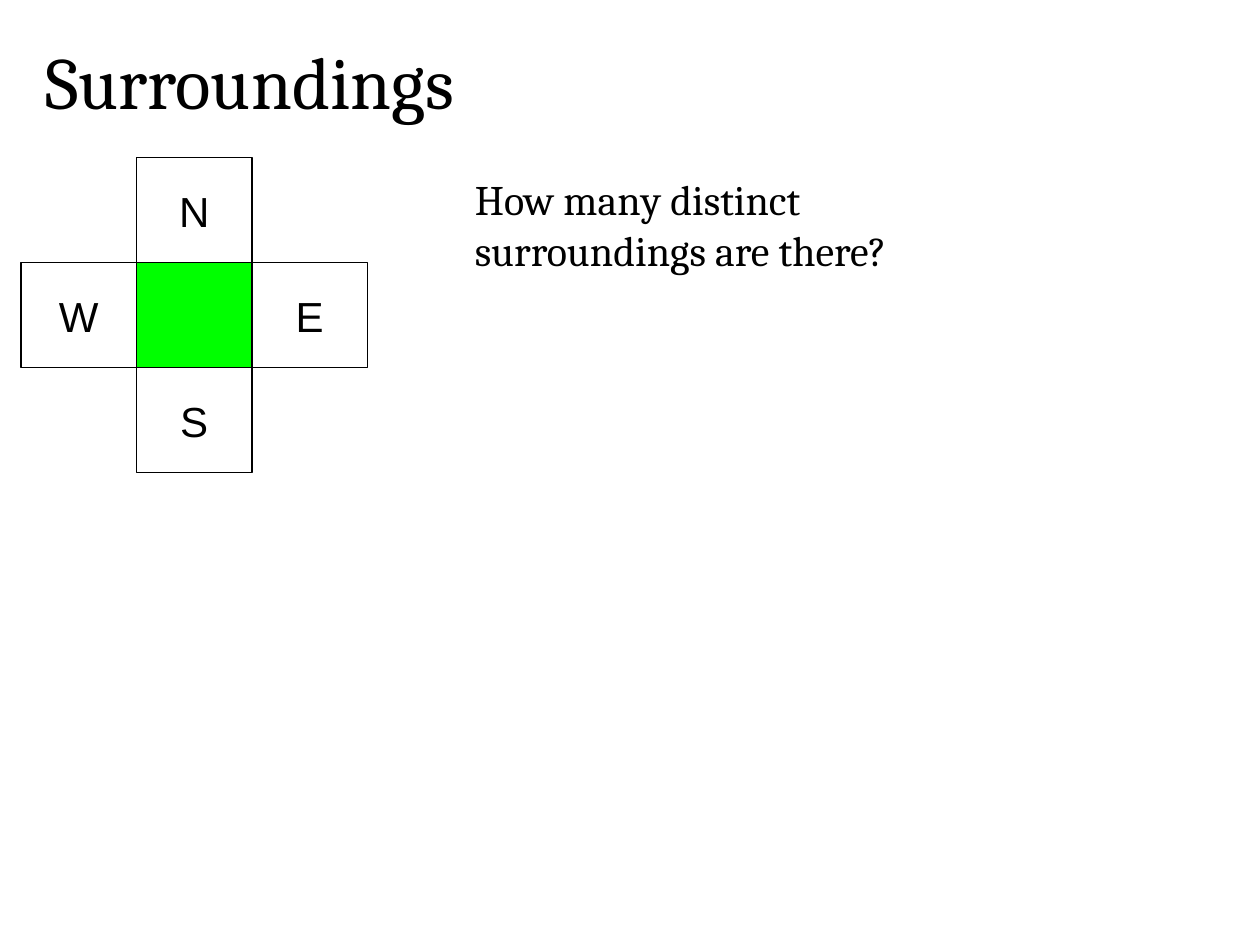
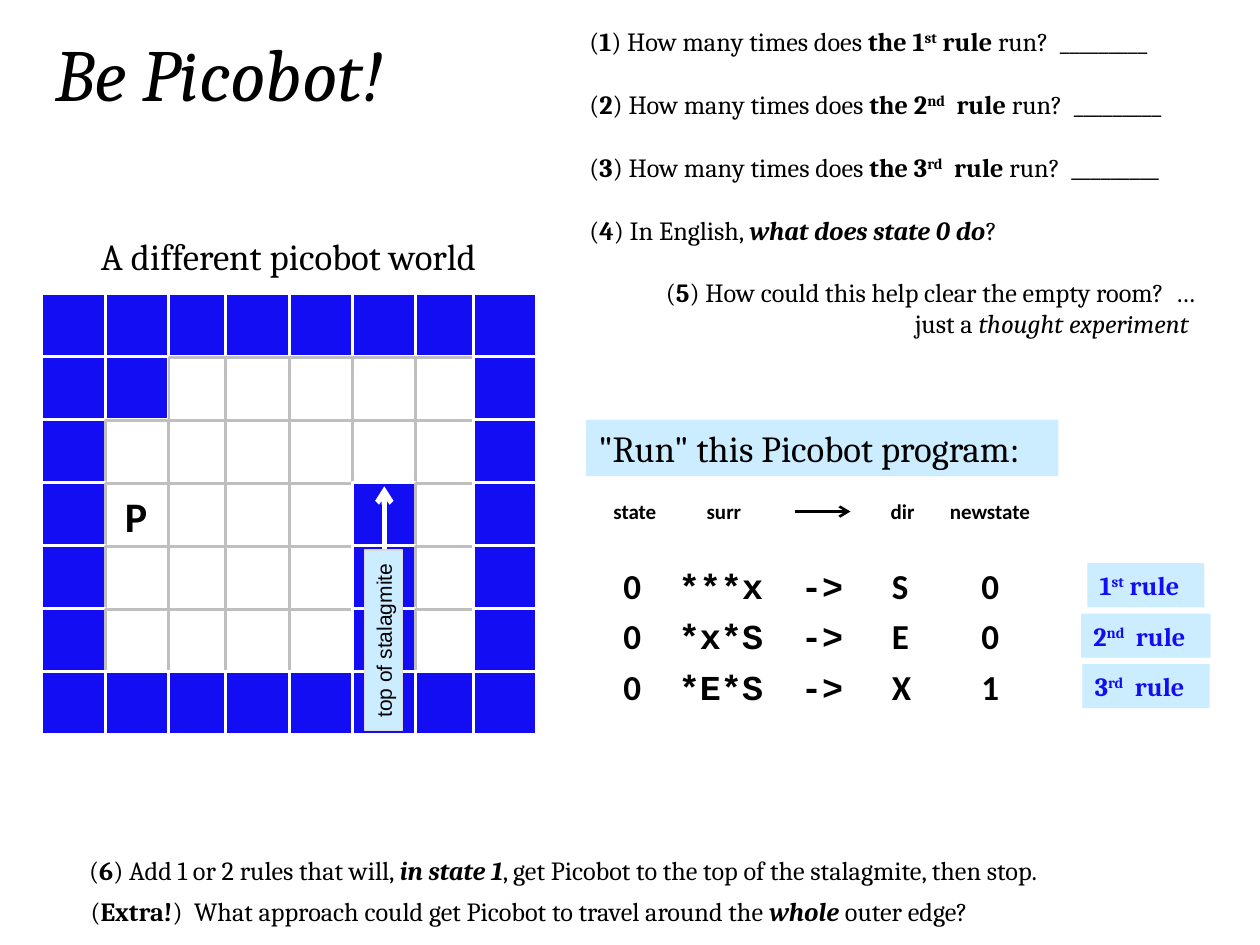
"""Build two slides on Picobot: its surroundings and a hands-on exercise."""
from itertools import accumulate

from lxml import etree
from pptx import Presentation
from pptx.dml.color import RGBColor
from pptx.enum.shapes import MSO_CONNECTOR, MSO_SHAPE
from pptx.enum.text import MSO_AUTO_SIZE, PP_ALIGN
from pptx.oxml.ns import qn
from pptx.util import Inches, Pt

RECT, STRAIGHT = MSO_SHAPE.RECTANGLE, MSO_CONNECTOR.STRAIGHT
FIT = MSO_AUTO_SIZE.SHAPE_TO_FIT_TEXT
LEFT, CENTER, RIGHT = PP_ALIGN.LEFT, PP_ALIGN.CENTER, PP_ALIGN.RIGHT
BLANK_LAYOUT = 6
SLIDE_COLUMNS, SLIDE_ROWS = 10, 7.5
GRID_UNIT = Inches(1)
COLORS = {"ink": "000000", "paper": "FFFFFF", "robot": "00FF00",
          "wall": "120DF3", "pale": "CCECFF", "grid": "BFBFBF", "edge": "D9D9D9"}
STYLES = {
    "title": {"name": "Cambria", "size": Pt(42)},
    "question": {"name": "Cambria", "size": Pt(24)},
    "caption": {"name": "Cambria", "size": Pt(21)},
    "task": {"name": "Cambria", "size": Pt(15)},
    "compass": {"name": "Arial", "size": Pt(24)},
    "note": {"name": "Arial", "size": Pt(12)},
    "header": {"name": "Calibri", "size": Pt(12), "bold": True},
    "code": {"name": "Courier New", "size": Pt(20), "bold": True},
    "value": {"name": "Calibri", "size": Pt(20), "bold": True},
    "robot": {"name": "Calibri", "size": Pt(24), "bold": True},
}
CROSS_LEFT, CROSS_TOP, CROSS_WIDTH, CROSS_HEIGHT = 1 / 6, 1.25, 11 / 12, 10 / 12
COMPASS = [("W", 0, 1), ("N", 1, 0), ("S", 1, 2), ("E", 2, 1)]
WORLD_LEFT, WORLD_TOP, WORLD_PITCH = 0.33, 2.33, 0.5
WORLD_WIDTHS = [0.51, 0.5, 0.45, 0.51, 0.5, 0.5, 0.46, 0.5]
WORLD = ["########",
         "##.....#",
         "#......#",
         "#....#.#",
         "#....#.#",
         "#....#.#",
         "########"]
HEADERS = [("state", 4.77, 0.54), ("surr", 5.51, 0.48),
           ("dir", 6.97, 0.39), ("newstate", 7.44, 0.84)]
RULE_COLUMNS = [(4.85, 0.34, "value"), (5.29, 0.88, "code"), (6.26, 0.54, "code"),
                (6.98, 0.34, "value"), (7.69, 0.34, "value")]
RULES = [("0", "***x", "->", "S", "0"),
         ("0", "*x*S", "->", "E", "0"),
         ("0", "*E*S", "->", "X", "1")]
RULES_TOP, RULES_PITCH = 4.43, 0.4
ORDINALS = [("1", "st", " rule"), ("2", "nd", "  rule"), ("3", "rd", "  rule")]
TAGS = [(8.63, 0.93), (8.58, 1.03), (8.59, 1.01)]
TASK_LEFT, TASK_TOP, TASK_PITCH, TASK_WIDTH, TASK_HEIGHT = 4.58, 0.15, 0.5, 5.1, 0.35


def grid(*lengths):
    """Turn columns and rows of the slide grid into lengths."""
    return [round(length * GRID_UNIT) for length in lengths]


def rgb(name):
    """Look up a named colour."""
    return RGBColor.from_string(COLORS[name])


def outline(shape, color, width):
    """Draw the line of a shape or connector."""
    shape.line.color.rgb = rgb(color)
    shape.line.width = Pt(width)


def fill_with(shape, color):
    """Give a shape a solid fill."""
    shape.fill.solid()
    shape.fill.fore_color.rgb = rgb(color)


def add_cell(page, place, fill, line, width):
    """Add a plain square, unfilled when fill is None."""
    cell = page.shapes.add_shape(RECT, *grid(*place))
    cell.shadow.inherit = False
    outline(cell, line, width)
    if fill:
        fill_with(cell, fill)
    else:
        cell.fill.background()


def add_text(page, place, spans, style, color="ink", align=LEFT, wrap=False, fill=None):
    """Add text from (words, marks) spans; marks are b, i and ^ for superscript."""
    box = page.shapes.add_textbox(*grid(*place))
    frame = box.text_frame
    frame.word_wrap = wrap
    frame.auto_size = FIT
    if fill:
        fill_with(box, fill)
    para = frame.paragraphs[0]
    para.alignment = align
    for words, marks in [(spans, "")] if isinstance(spans, str) else spans:
        span = para.add_run()
        span.text = words
        looks = {"bold": "b" in marks, "italic": "i" in marks, **STYLES[style]}
        for key, value in looks.items():
            setattr(span.font, key, value)
        span.font.color.rgb = rgb(color)
        if "^" in marks:
            span._r.get_or_add_rPr().set("baseline", "30000")
    return box


def add_arrow(page, start, end, color, width):
    """Add a straight line with an open arrowhead at its end."""
    arrow = page.shapes.add_connector(STRAIGHT, *grid(*start, *end))
    outline(arrow, color, width)
    etree.SubElement(arrow.line._get_or_add_ln(), qn("a:tailEnd"), type="arrow")
    etree.SubElement(arrow._element.spPr, qn("a:effectLst"))


def add_task(page, place, number, *spans, align=LEFT):
    """Add a task that opens with its bold number in brackets."""
    add_text(page, place, [("(", ""), (number, "b"), *spans], "task", align=align, wrap=True)


def add_cross(page):
    """Draw the robot's square and its four neighbours."""
    def cell_place(column, row):
        return (CROSS_LEFT + column * CROSS_WIDTH, CROSS_TOP + row * CROSS_HEIGHT,
                CROSS_WIDTH, CROSS_HEIGHT)

    add_cell(page, cell_place(1, 1), "robot", "ink", 0.75)
    for letter, column, row in COMPASS:
        left, top, width, height = place = cell_place(column, row)
        add_cell(page, place, None, "ink", 0.75)
        add_text(page, (left, top + 0.17, width, 0.5), letter, "compass", align=CENTER)


def add_world(page):
    """Draw the room map with its robot and stalagmite."""
    lefts = list(accumulate(WORLD_WIDTHS, initial=WORLD_LEFT))
    for row, squares in enumerate(WORLD):
        top = WORLD_TOP + row * WORLD_PITCH
        for left, width, square in zip(lefts, WORLD_WIDTHS, squares):
            if square == "#":
                add_cell(page, (left, top, width, WORLD_PITCH), "wall", "paper", 1.5)
            else:
                add_cell(page, (left, top + 0.01, width, WORLD_PITCH), "paper", "grid", 1.5)
    add_text(page, (0.87, 3.84, 0.42, 0.5), "P", "robot", align=CENTER, wrap=True)
    label = add_text(page, (2.33, 4.93, 1.43, 0.3), "top of stalagmite", "note", fill="pale")
    label.rotation = 270
    outline(label, "edge", 0.75)
    add_arrow(page, (3.05, 4.36), (3.05, 3.86), "paper", 3)
    add_text(page, (0.61, 1.81, 3.36, 0.45), "A different picobot world", "caption", align=CENTER)


def add_program(page):
    """Set out the program's rules in columns, each with its tag."""
    add_text(page, (4.65, 3.33, 3.75, 0.45), '"Run" this Picobot program:',
             "caption", wrap=True, fill="pale")
    for word, left, width in HEADERS:
        add_text(page, (left, 3.91, width, 0.3), word, "header")
    add_arrow(page, (6.31, 4.06), (6.75, 4.06), "ink", 1.5)
    for row, (rule, ordinal, tag) in enumerate(zip(RULES, ORDINALS, TAGS)):
        top = RULES_TOP + row * RULES_PITCH
        for word, (left, width, style) in zip(rule, RULE_COLUMNS):
            add_text(page, (left, top, width, 0.44), word, style)
        left, width = tag
        add_text(page, (left, top + 0.04, width, 0.35), zip(ordinal, ("b", "b^", "b")),
                 "task", "wall", fill="pale")


def add_tasks(page):
    """Write the numbered tasks around the map and program."""
    places = [(TASK_LEFT, TASK_TOP + row * TASK_PITCH, TASK_WIDTH, TASK_HEIGHT)
              for row in range(4)]
    for place, (number, ending, noun) in zip(places, ORDINALS):
        add_task(page, place, number, (") How many times does ", ""), (f"the {number}", "b"),
                 (ending, "b^"), (f"{noun} ", "b"), ("run?  _________", ""))
    add_task(page, places[3], "4", (") In English, ", ""),
             ("what does state 0 do", "bi"), ("?", ""))
    add_task(page, (5.03, 2.14, 4.55, 0.61), "5",
             (") How could this help clear the empty room?  … just a ", ""),
             ("thought experiment ", "i"), align=RIGHT)
    add_task(page, (0.61, 6.73, 8.64, TASK_HEIGHT), "6",
             (") Add 1 or 2 rules that will, ", ""), ("in state 1", "bi"),
             (", get Picobot to the top of the stalagmite, then stop.", ""))
    add_task(page, (0.62, 7.06, 7.58, TASK_HEIGHT), "Extra!",
             (")  What approach could get Picobot to travel around the ", ""),
             ("whole", "bi"), (" outer edge?", ""))


def add_page(deck, place, title, marks=""):
    """Add a blank slide with its title."""
    page = deck.slides.add_slide(deck.slide_layouts[BLANK_LAYOUT])
    add_text(page, place, [(title, marks)], "title", wrap=True)
    return page


def main():
    """Build and save the deck."""
    deck = Presentation()
    deck.slide_width, deck.slide_height = grid(SLIDE_COLUMNS, SLIDE_ROWS)

    page = add_page(deck, (0.26, 0.24, 3.99, 0.8), "Surroundings")
    add_cross(page)
    add_text(page, (3.67, 1.33, 4.67, 0.91), "How many distinct surroundings are there?",
             "question", wrap=True)

    page = add_page(deck, (0.34, 0.17, 3.92, 0.8), "Be Picobot!", "i")
    add_program(page)
    add_tasks(page)
    add_world(page)
    deck.save("out.pptx")


if __name__ == "__main__":
    main()
